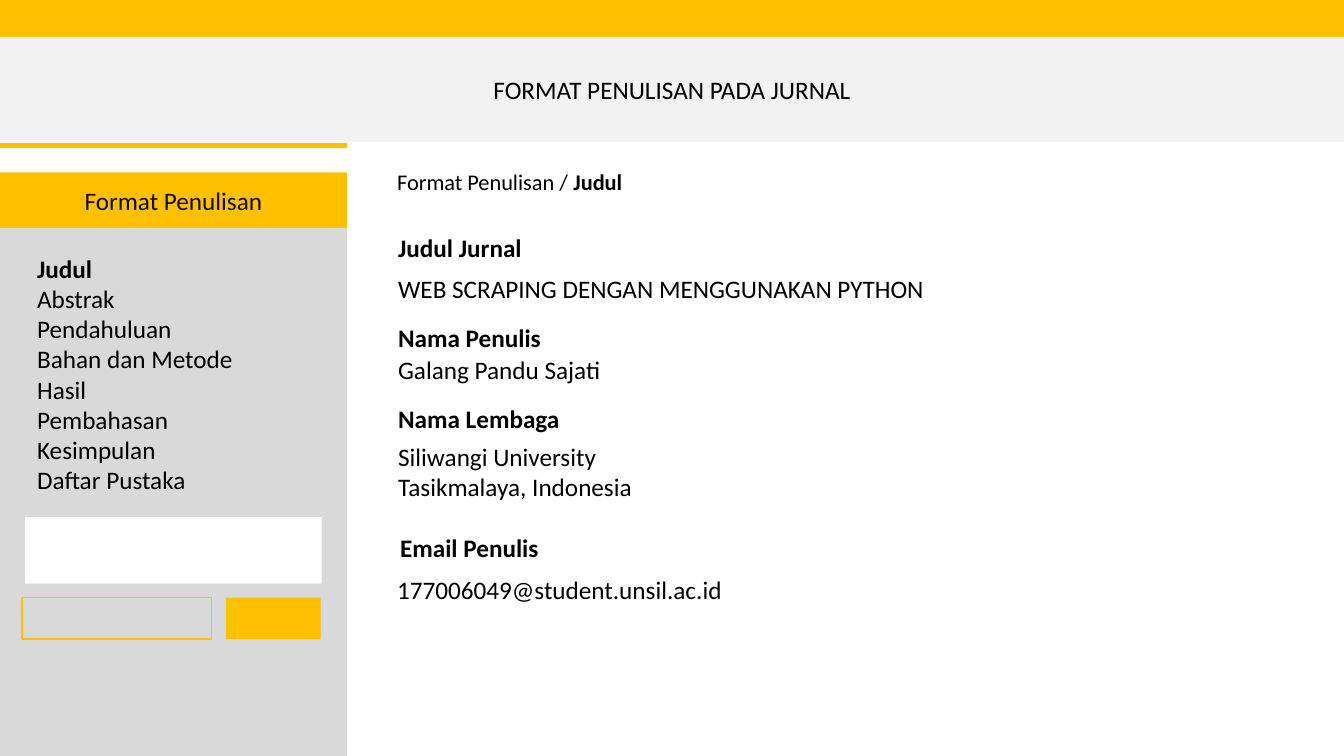
from dataclasses import dataclass
from typing import Optional

from pptx import Presentation
from pptx.dml.color import RGBColor
from pptx.enum.shapes import MSO_SHAPE
from pptx.enum.text import MSO_ANCHOR, MSO_AUTO_SIZE, PP_ALIGN
from pptx.util import Inches, Pt

AMBER = RGBColor(0xFF, 0xC0, 0x00)
PALE_GREY = RGBColor(0xF2, 0xF2, 0xF2)
MID_GREY = RGBColor(0xD9, 0xD9, 0xD9)
WHITE = RGBColor(0xFF, 0xFF, 0xFF)
BLACK = RGBColor(0x00, 0x00, 0x00)
NEAR_BLACK = RGBColor(0x0D, 0x0D, 0x0D)

SLIDE_W, SLIDE_H = 13.33, 7.5
SIDEBAR_W = 3.44
CONTENT_X = 3.85
LINE_H = 0.4


@dataclass(frozen=True)
class Run:
    text: str
    bold: bool = False


@dataclass(frozen=True)
class Panel:
    x: float
    y: float
    w: float
    h: float
    fill: RGBColor
    line: Optional[RGBColor] = None
    label: str = ""
    color: RGBColor = BLACK


@dataclass(frozen=True)
class TextBlock:
    x: float
    y: float
    w: float
    h: float
    lines: list[list[Run]]
    size: int = 18
    wrap: bool = False


PANELS = [
    Panel(0, 0, SLIDE_W, 0.37, AMBER),
    Panel(0, 0.37, SLIDE_W, 1.04, PALE_GREY, label="FORMAT PENULISAN PADA JURNAL"),
    Panel(0, 1.42, SIDEBAR_W, 0.05, AMBER),
    Panel(0, 1.71, SIDEBAR_W, 5.79, PALE_GREY),
    Panel(0, 1.71, SIDEBAR_W, 0.55, AMBER, label="Format Penulisan", color=NEAR_BLACK),
    Panel(0, 2.26, SIDEBAR_W, 5.24, MID_GREY),
    Panel(0.25, 5.13, 2.94, 0.66, WHITE),
    Panel(2.24, 5.93, 0.94, 0.41, AMBER),
    Panel(0.22, 5.93, 1.88, 0.41, MID_GREY, line=AMBER),
]

MENU = ["Judul", "Abstrak", "Pendahuluan", "Bahan dan Metode",
        "Hasil", "Pembahasan", "Kesimpulan", "Daftar Pustaka"]

TEXT_BLOCKS = [
    TextBlock(0.27, 2.46, 2.17, 2.83, [[Run(item, item == "Judul")] for item in MENU]),
    TextBlock(3.84, 1.62, 2.44, 0.37,
              [[Run("Format Penulisan / "), Run("Judul", True)]], size=16),
    TextBlock(CONTENT_X, 2.26, 1.44, LINE_H, [[Run("Judul Jurnal", True)]]),
    TextBlock(CONTENT_X, 2.66, 5.65, LINE_H,
              [[Run("WEB SCRAPING DENGAN MENGGUNAKAN PYTHON")]]),
    TextBlock(CONTENT_X, 3.15, 1.63, LINE_H, [[Run("Nama Penulis", True)]]),
    TextBlock(CONTENT_X, 3.47, 2.33, LINE_H, [[Run("Galang Pandu Sajati")]]),
    TextBlock(CONTENT_X, 3.95, 1.82, LINE_H, [[Run("Nama Lembaga", True)]]),
    TextBlock(CONTENT_X, 4.33, 4.91, 0.71,
              [[Run("Siliwangi University")], [Run("Tasikmalaya, Indonesia")]], wrap=True),
    TextBlock(3.87, 5.23, 1.58, LINE_H, [[Run("Email Penulis", True)]]),
    TextBlock(3.84, 5.65, 4.69, LINE_H,
              [[Run("177006049@student.unsil.ac.id")]], wrap=True),
]


def add_run(p, run: Run, size: int = 18, color: RGBColor = BLACK) -> None:
    r = p.add_run()
    r.text = run.text
    for name, value in {"name": "Calibri", "size": Pt(size), "bold": run.bold}.items():
        setattr(r.font, name, value)
    r.font.color.rgb = color


def add_panel(shapes, panel: Panel) -> None:
    box = map(Inches, (panel.x, panel.y, panel.w, panel.h))
    sp = shapes.add_shape(MSO_SHAPE.RECTANGLE, *box)
    sp.shadow.inherit = False
    sp.fill.solid()
    sp.fill.fore_color.rgb = panel.fill
    if panel.line is None:
        sp.line.fill.background()
    else:
        sp.line.color.rgb = panel.line
        sp.line.width = Pt(1)
    if panel.label:
        tf = sp.text_frame
        tf.vertical_anchor = MSO_ANCHOR.MIDDLE
        p = tf.paragraphs[0]
        p.alignment = PP_ALIGN.CENTER
        add_run(p, Run(panel.label), color=panel.color)


def add_text_block(shapes, block: TextBlock) -> None:
    box = map(Inches, (block.x, block.y, block.w, block.h))
    tf = shapes.add_textbox(*box).text_frame
    frame_format = {"word_wrap": block.wrap, "auto_size": MSO_AUTO_SIZE.SHAPE_TO_FIT_TEXT}
    for name, value in frame_format.items():
        setattr(tf, name, value)
    for i, line in enumerate(block.lines):
        p = tf.add_paragraph() if i else tf.paragraphs[0]
        for run in line:
            add_run(p, run, block.size)


def main() -> None:
    prs = Presentation()
    prs.slide_width, prs.slide_height = Inches(SLIDE_W), Inches(SLIDE_H)
    shapes = prs.slides.add_slide(prs.slide_layouts[6]).shapes
    for panel in PANELS:
        add_panel(shapes, panel)
    for block in TEXT_BLOCKS:
        add_text_block(shapes, block)
    prs.save("out.pptx")


if __name__ == "__main__":
    main()
